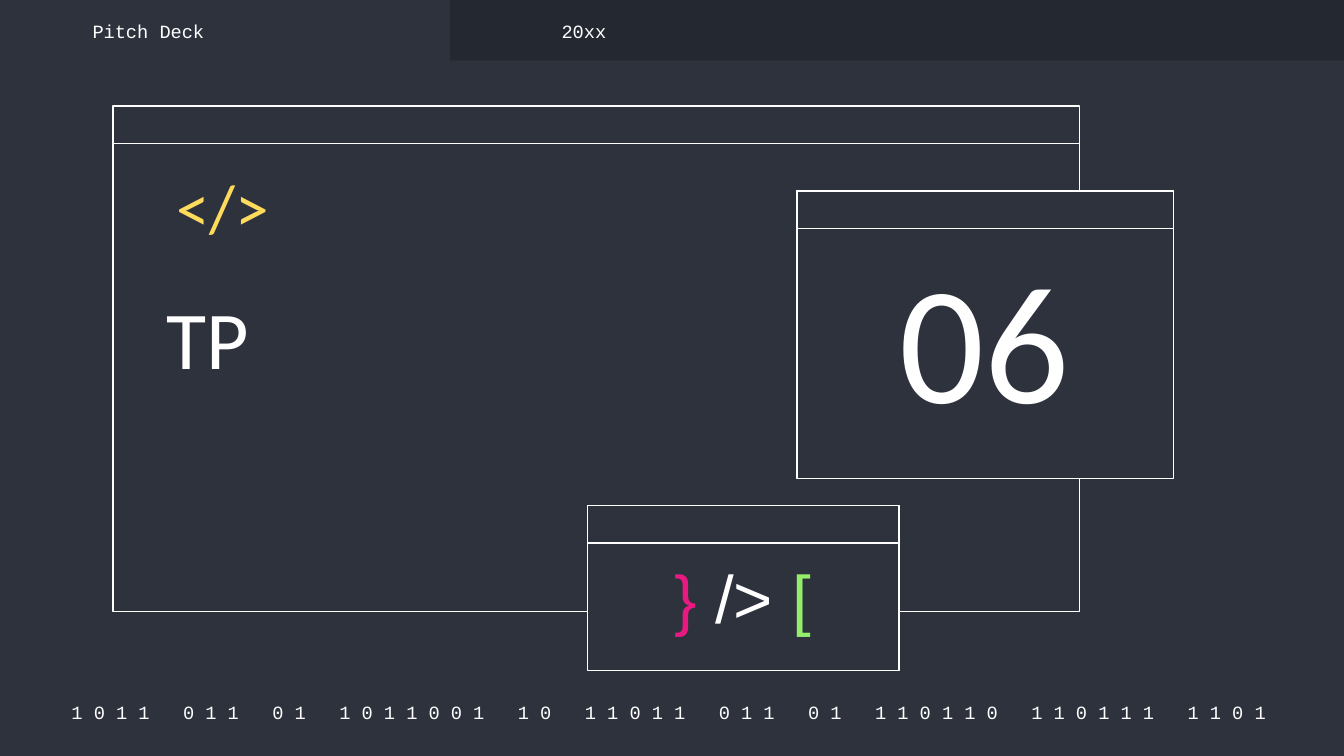
from pptx import Presentation
from pptx.dml.color import RGBColor
from pptx.enum.shapes import MSO_SHAPE as SHAPE
from pptx.enum.text import MSO_ANCHOR as ANCHOR, PP_ALIGN as ALIGN
from pptx.util import Inches, Pt

COLORS = {
    "background": "2D323C",
    "bar": "242830",
    "white": "FFFFFF",
    "yellow": "FFDB5D",
    "pink": "E81981",
    "green": "94EE6B",
}
SLIDE_W = 10
SLIDE_H = SLIDE_W * 9 / 16
BINARY = "1011 011 01 1011001 10 11011 011 01 110110 110111 1101 "
TITLE_BAR_H = 0.28


def rgb(name):
    return RGBColor.from_string(COLORS[name])


def add_rect(slide, x, y, w, h, fill, line=None):
    sp = slide.shapes.add_shape(
        SHAPE.RECTANGLE, Inches(x), Inches(y), Inches(w), Inches(h))
    sp.shadow.inherit = False
    sp.fill.solid()
    sp.fill.fore_color.rgb = rgb(fill)
    if line:
        sp.line.color.rgb = rgb(line)
        sp.line.width = Pt(0.75)
    else:
        sp.line.fill.background()


def add_text(slide, x, y, w, h, parts, size, font="Calibri",
             align=ALIGN.LEFT, anchor=ANCHOR.TOP, spacing=None):
    """Add a one-paragraph text box; parts is a list of (text, color name)."""
    box = slide.shapes.add_textbox(Inches(x), Inches(y), Inches(w), Inches(h))
    tf = box.text_frame
    tf.word_wrap = True
    tf.vertical_anchor = anchor
    tf.margin_left = tf.margin_right = Inches(0.1)
    tf.margin_top = tf.margin_bottom = Inches(0.1)
    p = tf.paragraphs[0]
    p.alignment = align
    if spacing:
        p.line_spacing = spacing
    for text, color in parts:
        r = p.add_run()
        r.text = text
        r.font.size = Pt(size)
        r.font.name = font
        r.font.color.rgb = rgb(color)


def add_label(slide, x, y, w, text, align=ALIGN.LEFT):
    add_text(slide, x, y, w, 0.2, [(text, "white")], 10, "Courier New",
             align, ANCHOR.MIDDLE)


def add_window(slide, x, y, w, h):
    """Draw an outlined window with a title bar."""
    for height in (h, TITLE_BAR_H):
        add_rect(slide, x, y, w, height, "background", "white")


def add_tabs(slide, x, y, w, h):
    active_w = 3.35
    add_rect(slide, x + active_w, y, w - active_w, h, "bar")
    for offset, text in ((0.59, "Pitch Deck"), (4.08, "20xx")):
        add_label(slide, x + offset, y + 0.13, 2.19, text)


def add_title_window(slide, x, y, w, h):
    add_window(slide, x, y, w, h)
    add_text(slide, x + 0.08, y + 0.41, 1.18, 0.62, [("</>", "yellow")], 36,
             align=ALIGN.RIGHT, spacing=0.9)
    add_text(slide, x + 0.3, y + 1.25, 4.31, 0.9, [("TP", "white")], 44)


def add_symbol_window(slide, x, y, w, h):
    add_window(slide, x, y, w, h)
    symbols = [("}", "pink"), (" /> ", "white"), ("[", "green")]
    add_text(slide, x + 0.49, y + 0.35, 1.33, 0.82, symbols, 36, "Arial",
             ALIGN.CENTER, spacing=0.9)


def add_number_window(slide, x, y, w, h):
    add_window(slide, x, y, w, h)
    add_text(slide, x + 0.18, y + TITLE_BAR_H, 2.43, 1.65, [("06", "white")],
             90, align=ALIGN.CENTER, anchor=ANCHOR.BOTTOM)


def add_binary_footer(slide, x, y, w):
    add_label(slide, x, y, w, " ".join(BINARY.strip()) + " ", ALIGN.CENTER)


def main():
    prs = Presentation()
    prs.slide_width, prs.slide_height = Inches(SLIDE_W), Inches(SLIDE_H)
    slide = prs.slides.add_slide(prs.slide_layouts[6])
    slide.background.fill.solid()
    slide.background.fill.fore_color.rgb = rgb("background")

    add_binary_footer(slide, 0.38, 5.2, 9.27)
    add_tabs(slide, 0, 0, SLIDE_W, 0.45)
    add_title_window(slide, 0.84, 0.79, 7.19, 3.76)
    add_symbol_window(slide, 4.37, 3.76, 2.32, 1.23)
    add_number_window(slide, 5.93, 1.42, 2.8, 2.14)
    prs.save("out.pptx")


if __name__ == "__main__":
    main()
